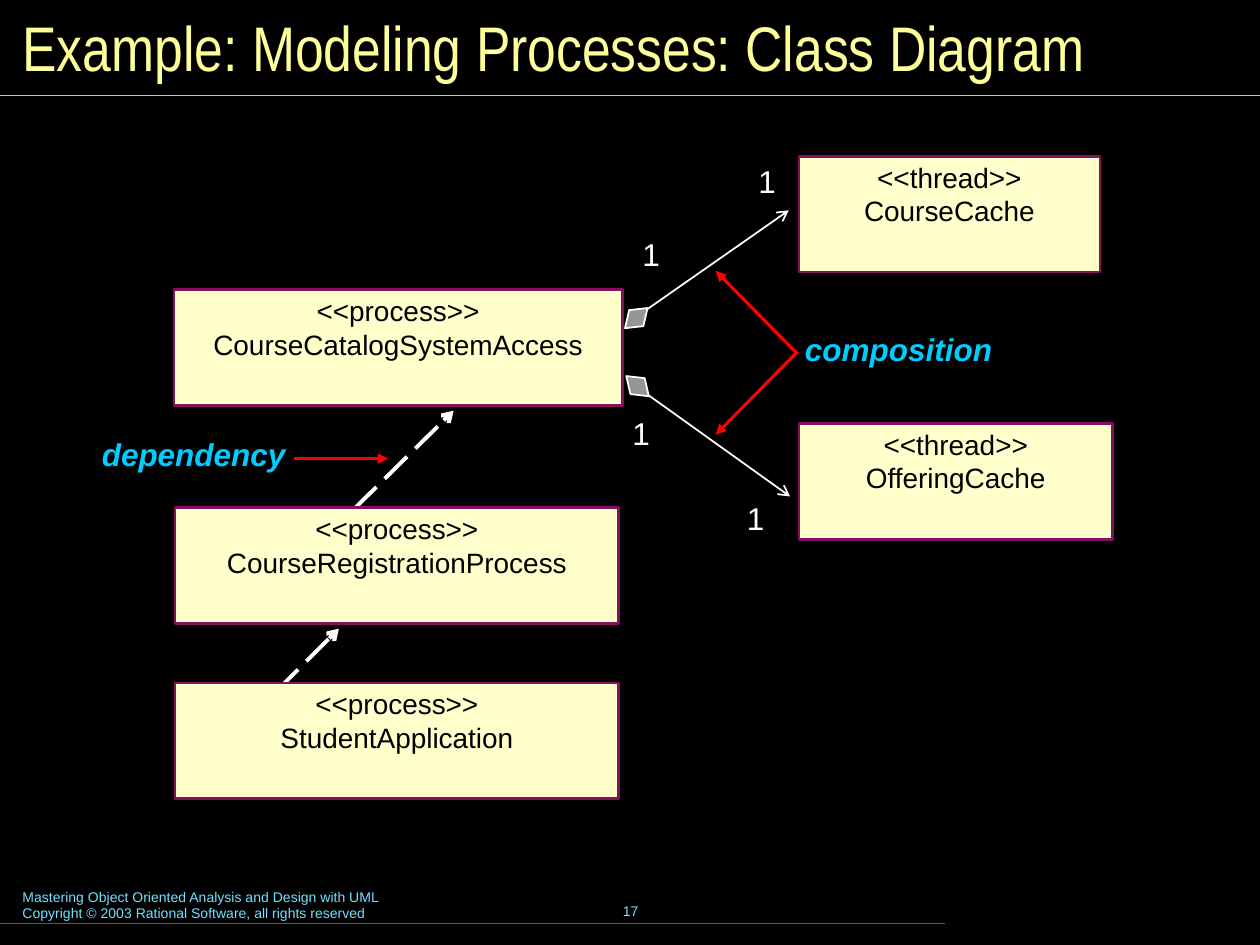
import pptx
import pptx.util
import pptx.dml.color
import pptx.enum.dml
import pptx.enum.shapes
import pptx.enum.text
import pptx.oxml.ns
import lxml.etree

# The slide is a grid of 100 columns by 75 rows
WIDTH, HEIGHT = pptx.util.Inches(10), pptx.util.Inches(7.5)
COLUMNS, ROWS = 100, 75

ALIGN = pptx.enum.text.PP_ALIGN
ANCHOR = pptx.enum.text.MSO_ANCHOR
SHAPE = pptx.enum.shapes.MSO_SHAPE
LONG_DASH = pptx.enum.dml.MSO_LINE.LONG_DASH

WHITE, RED = "FFFFFF", "FF0000"
PALE_BLUE = "73E1FF"

TITLE_FONT = {"name": "Arial Narrow", "size": pptx.util.Pt(36)}
CLASS_FONT = {"name": "Arial", "size": pptx.util.Pt(16)}
NOTE_FONT = {"name": "Arial", "size": pptx.util.Pt(18), "bold": True, "italic": True}
COUNT_FONT = {"name": "Arial", "size": pptx.util.Pt(18)}
FOOTER_FONT = {"name": "Arial", "size": pptx.util.Pt(8)}


def color(hex_code):
    return pptx.dml.color.RGBColor.from_string(hex_code)


def col(columns):
    return round(WIDTH * columns / COLUMNS)


def row(rows):
    return round(HEIGHT * rows / ROWS)


def area(left, top, width, height):
    return col(left), row(top), col(width), row(height)


def write(frame, lines, font, hex_code, align=ALIGN.LEFT):
    """Fill a text frame with one paragraph for each line."""
    frame.text = "\n".join(lines)
    for paragraph in frame.paragraphs:
        paragraph.alignment = align
        for key, value in font.items():
            setattr(paragraph.font, key, value)
        paragraph.font.color.rgb = color(hex_code)


def add_label(slide, place, lines, font, hex_code, align=ALIGN.LEFT, anchor=ANCHOR.TOP):
    frame = slide.shapes.add_textbox(*area(*place)).text_frame
    frame.word_wrap = True
    frame.vertical_anchor = anchor
    write(frame, lines, font, hex_code, align)


def add_outlined(slide, kind, place, fill, outline, weight):
    shape = slide.shapes.add_shape(kind, *area(*place))
    shape.shadow.inherit = False
    shape.fill.solid()
    shape.fill.fore_color.rgb = color(fill)
    shape.line.color.rgb = color(outline)
    shape.line.width = pptx.util.Pt(weight)
    return shape


def add_class(slide, place, stereotype, name):
    box = add_outlined(slide, SHAPE.RECTANGLE, place, "FFFFCC", "8A0E5E", 1.5)
    frame = box.text_frame
    frame.vertical_anchor = ANCHOR.TOP
    frame.margin_top = row(0.3)
    write(frame, [f"<<{stereotype}>>", name], CLASS_FONT, "000000", ALIGN.CENTER)


def add_line(slide, start, end, hex_code, weight, head=None, dash=None):
    straight = pptx.enum.shapes.MSO_CONNECTOR.STRAIGHT
    line = slide.shapes.add_connector(
        straight, col(start[0]), row(start[1]), col(end[0]), row(end[1]))
    line.line.color.rgb = color(hex_code)
    line.line.width = pptx.util.Pt(weight)
    if dash:
        line.line.dash_style = dash
    qn = pptx.oxml.ns.qn
    properties = line._element.spPr
    if head:
        lxml.etree.SubElement(properties.find(qn("a:ln")), qn("a:tailEnd"), type=head)
    lxml.etree.SubElement(properties, qn("a:effectLst"))


def add_composition(slide, diamond_place, turn, start, end):
    add_line(slide, start, end, WHITE, 1, "arrow")
    diamond = add_outlined(slide, SHAPE.DIAMOND, diamond_place, "969696", WHITE, 1)
    diamond.rotation = turn


def main():
    deck = pptx.Presentation()
    deck.slide_width, deck.slide_height = WIDTH, HEIGHT
    slide = deck.slides.add_slide(deck.slide_layouts[6])
    slide.background.fill.solid()
    slide.background.fill.fore_color.rgb = color("000000")

    # Title and footer
    add_label(slide, (0.8, 0.8, 98.4, 5.8), ["Example: Modeling Processes: Class Diagram"],
              TITLE_FONT, "FFFF99", anchor=ANCHOR.MIDDLE)
    add_line(slide, (0, 7.6), (COLUMNS, 7.6), PALE_BLUE, 0.75)
    add_label(slide, (0.8, 70, 51, 3.7),
              ["Mastering Object Oriented Analysis and Design with UML",
               "Copyright © 2003 Rational Software, all rights reserved"],
              FOOTER_FONT, PALE_BLUE)
    add_label(slide, (34.2, 69.8, 31.7, 5), ["17"], FOOTER_FONT, PALE_BLUE,
              ALIGN.CENTER, ANCHOR.MIDDLE)
    add_line(slide, (0, 73.3), (75, 73.3), "007E9F", 0.75)

    # Dependencies run behind the class boxes
    for start, end in [((28.1, 40.4), (36, 32.6)), ((21.9, 54.9), (26.9, 49.9))]:
        add_line(slide, start, end, WHITE, 2.25, "arrow", LONG_DASH)

    # Classes: left, top, width, stereotype, name
    for left, top, width, stereotype, name in [
        (13.8, 23, 35.6, "process", "CourseCatalogSystemAccess"),
        (13.9, 40.3, 35.2, "process", "CourseRegistrationProcess"),
        (13.9, 54.2, 35.2, "process", "StudentApplication"),
        (63.4, 12.4, 23.9, "thread", "CourseCache"),
        (63.4, 33.6, 24.9, "thread", "OfferingCache"),
    ]:
        add_class(slide, (left, top, width, 9.2), stereotype, name)

    # Compositions and their multiplicities
    add_composition(slide, (49.3, 24.4, 2.4, 1.7), -41.8, (51, 24.8), (62.6, 16.7))
    add_composition(slide, (49.4, 29.8, 2.4, 1.7), 41.8, (51.1, 31.1), (62.7, 39.4))
    for left, top in [(59.2, 12.4), (50, 18.2), (49.2, 32.4), (58.3, 39.1)]:
        add_label(slide, (left, top, 3.3, 4), ["1"], COUNT_FONT, WHITE)

    # Notes with red pointers
    for left, top, note in [(62.9, 25.7, "composition"), (7.1, 34, "dependency")]:
        add_label(slide, (left, top, 17.5, 4), [note], NOTE_FONT, "00CCFF")
    for start, end in [
        ((63.3, 27.9), (56.8, 34.5)),
        ((63.3, 28.1), (56.8, 21.5)),
        ((23.3, 36.4), (30.8, 36.4)),
    ]:
        add_line(slide, start, end, RED, 1.75, "triangle")

    deck.save("out.pptx")


if __name__ == "__main__":
    main()
